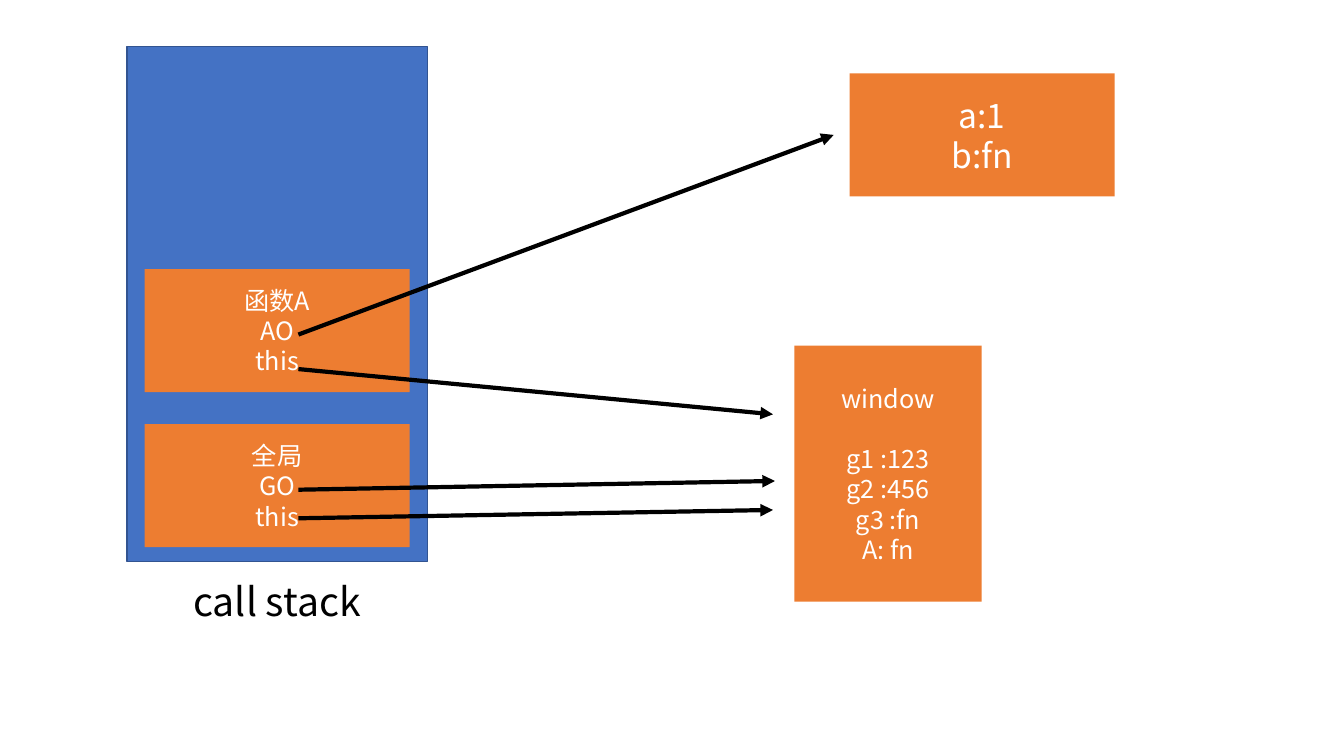
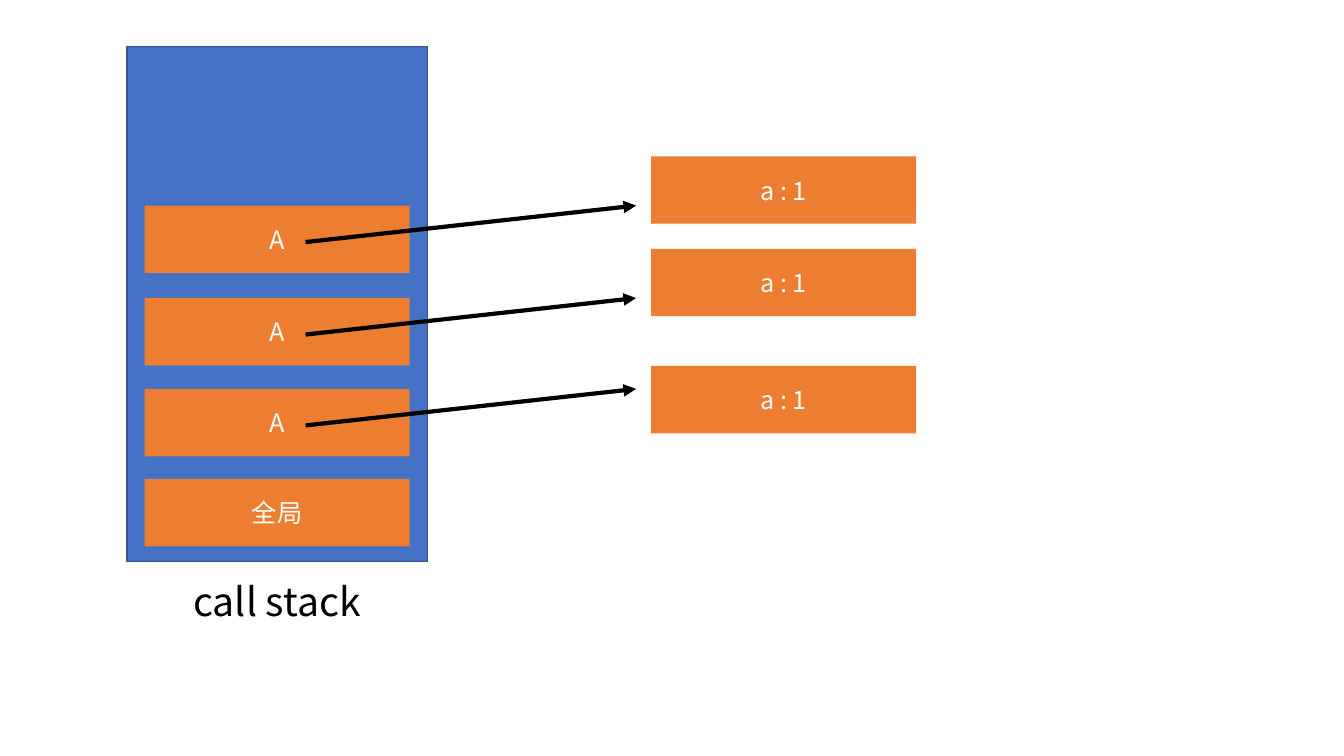
from dataclasses import dataclass

from lxml import etree
from pptx import Presentation
from pptx import util as u
from pptx.dml.color import RGBColor
from pptx.enum import shapes, text
from pptx.oxml import ns

FONT = "Noto Sans CJK SC"
BLUE, NAVY, ORANGE = "4472C4", "325491", "ED7D31"
BLACK, WHITE = "000000", "FFFFFF"
LINE_RATIO = 1.2

STACK_LEFT, STACK_TOP, STACK_W, STACK_H = 3.2, 1.17, 7.57, 12.98
BOX_W = 6.68
FRAME_LEFT = STACK_LEFT + (STACK_W - BOX_W) / 2
TALL_H, LOW_H = 3.1, 1.7


@dataclass
class Box:
    """An orange box; lengths in cm, one paragraph per line of text."""
    left: float
    top: float
    width: float
    height: float
    lines: tuple[str, ...]
    size: float = 18
    heading_gap: float = 0


@dataclass
class Arrow:
    x1: float
    y1: float
    x2: float
    y2: float


def rgb(color: str) -> RGBColor:
    return RGBColor.from_string(color)


def write(shape, lines: tuple[str, ...], size: float, color: str,
          heading_gap: float = 0) -> None:
    """Centre the lines; heading_gap is the space in points after the first."""
    tf = shape.text_frame
    tf.word_wrap = True
    for i, line in enumerate(lines):
        p = tf.paragraphs[0] if i == 0 else tf.add_paragraph()
        formats = {
            "alignment": text.PP_ALIGN.CENTER,
            "line_spacing": u.Pt(size * LINE_RATIO),
            "space_before": u.Pt(heading_gap if i == 1 else 0),
        }
        for name, value in formats.items():
            setattr(p, name, value)
        r = p.add_run()
        r.text = line
        for name, value in {"name": FONT, "size": u.Pt(size)}.items():
            setattr(r.font, name, value)
        r.font.color.rgb = rgb(color)
        ea = etree.SubElement(r._r.get_or_add_rPr(), ns.qn("a:ea"))
        ea.set("typeface", FONT)


def add_rect(s, left: float, top: float, width: float, height: float,
             fill: str, line: str | None = None):
    sp = s.shapes.add_shape(shapes.MSO_SHAPE.RECTANGLE, u.Cm(left), u.Cm(top),
                            u.Cm(width), u.Cm(height))
    sp.shadow.inherit = False
    sp.fill.solid()
    sp.fill.fore_color.rgb = rgb(fill)
    if line:
        sp.line.color.rgb = rgb(line)
        sp.line.width = u.Pt(1)
    else:
        sp.line.fill.background()
    return sp


def add_box(s, box: Box) -> None:
    sp = add_rect(s, box.left, box.top, box.width, box.height, ORANGE)
    sp.text_frame.vertical_anchor = text.MSO_ANCHOR.MIDDLE
    write(sp, box.lines, box.size, WHITE, box.heading_gap)


def add_arrow(s, arrow: Arrow) -> None:
    ends = (u.Cm(v) for v in (arrow.x1, arrow.y1, arrow.x2, arrow.y2))
    c = s.shapes.add_connector(shapes.MSO_CONNECTOR.STRAIGHT, *ends)
    c.line.color.rgb = rgb(BLACK)
    c.line.width = u.Pt(3)
    etree.SubElement(c.line._get_or_add_ln(), ns.qn("a:tailEnd")).set("type", "triangle")
    etree.SubElement(c._element.spPr, ns.qn("a:effectLst"))


def add_stack_slide(prs, boxes: list[Box], arrows: list[Arrow]) -> None:
    s = prs.slides.add_slide(prs.slide_layouts[6])
    add_rect(s, STACK_LEFT, STACK_TOP, STACK_W, STACK_H, BLUE, NAVY)
    caption = s.shapes.add_textbox(u.Cm(STACK_LEFT), u.Cm(14.43),
                                   u.Cm(STACK_W), u.Cm(1.45))
    write(caption, ("call stack",), 28, BLACK)
    for box in boxes:
        add_box(s, box)
    for arrow in arrows:
        add_arrow(s, arrow)


def add_scope_slide(prs) -> None:
    boxes = [
        Box(FRAME_LEFT, 10.69, BOX_W, TALL_H, ("全局", "GO", "this")),
        Box(FRAME_LEFT, 6.78, BOX_W, TALL_H, ("函数A", "AO", "this")),
        Box(20.02, 8.71, 4.72, 6.45,
            ("window", "g1 :123", "g2 :456", "g3 :fn", "A: fn"),
            heading_gap=18 * LINE_RATIO),
        Box(21.41, 1.85, BOX_W, TALL_H, ("a:1", "b:fn"), size=24),
    ]
    start = 7.52
    arrows = [
        Arrow(start, 12.34, 19.53, 12.12),
        Arrow(start, 13.06, 19.48, 12.85),
        Arrow(start, 9.3, 19.48, 10.44),
        Arrow(start, 8.43, 21.01, 3.4),
    ]
    add_stack_slide(prs, boxes, arrows)


def add_recursion_slide(prs) -> None:
    boxes = [Box(FRAME_LEFT, 12.07, BOX_W, LOW_H, ("全局",))]
    arrows = []
    for frame_top, object_top in ((9.8, 9.22), (7.51, 6.27), (5.18, 3.94)):
        boxes += [Box(FRAME_LEFT, frame_top, BOX_W, LOW_H, ("A",)),
                  Box(16.41, object_top, BOX_W, LOW_H, ("a : 1",))]
        arrows.append(Arrow(7.7, frame_top + 0.92, 16.03, frame_top))
    add_stack_slide(prs, boxes, arrows)


def main() -> None:
    prs = Presentation()
    prs.slide_width, prs.slide_height = u.Cm(33.87), u.Cm(19.05)
    add_scope_slide(prs)
    add_recursion_slide(prs)
    prs.save("out.pptx")


if __name__ == "__main__":
    main()
